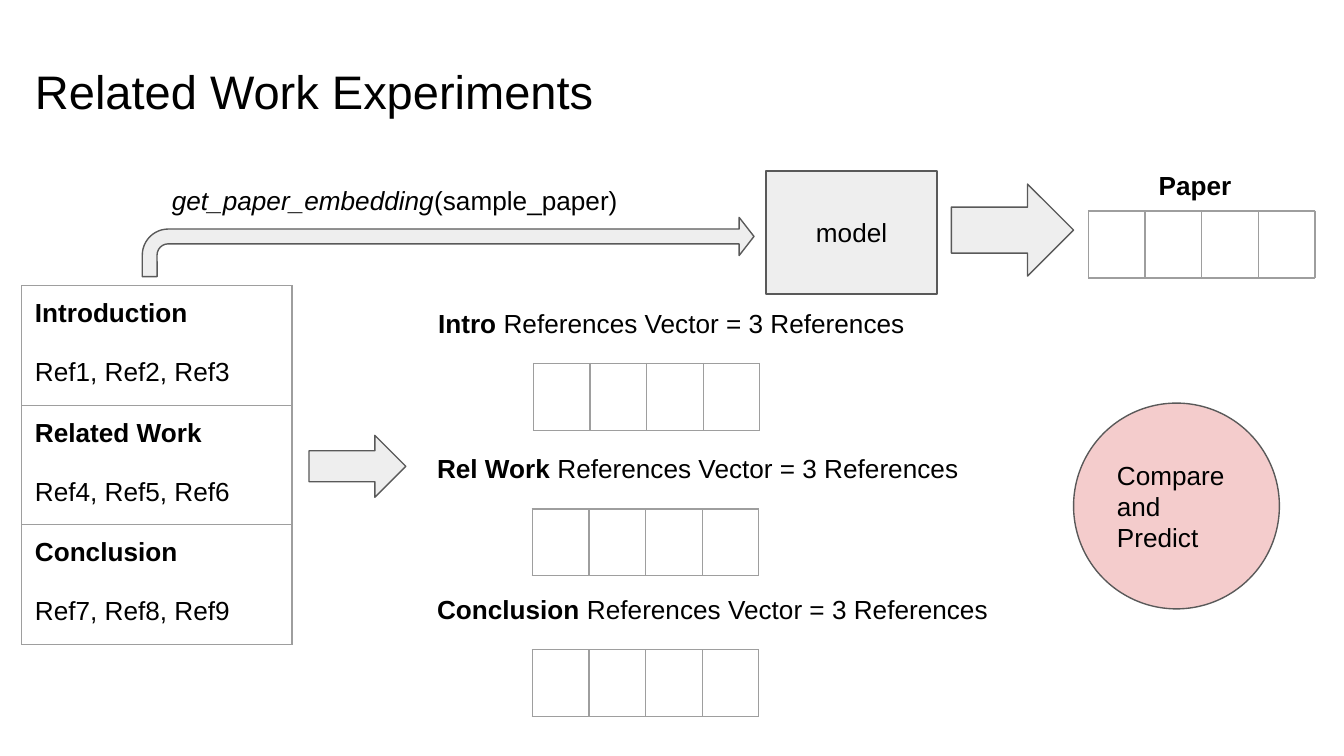
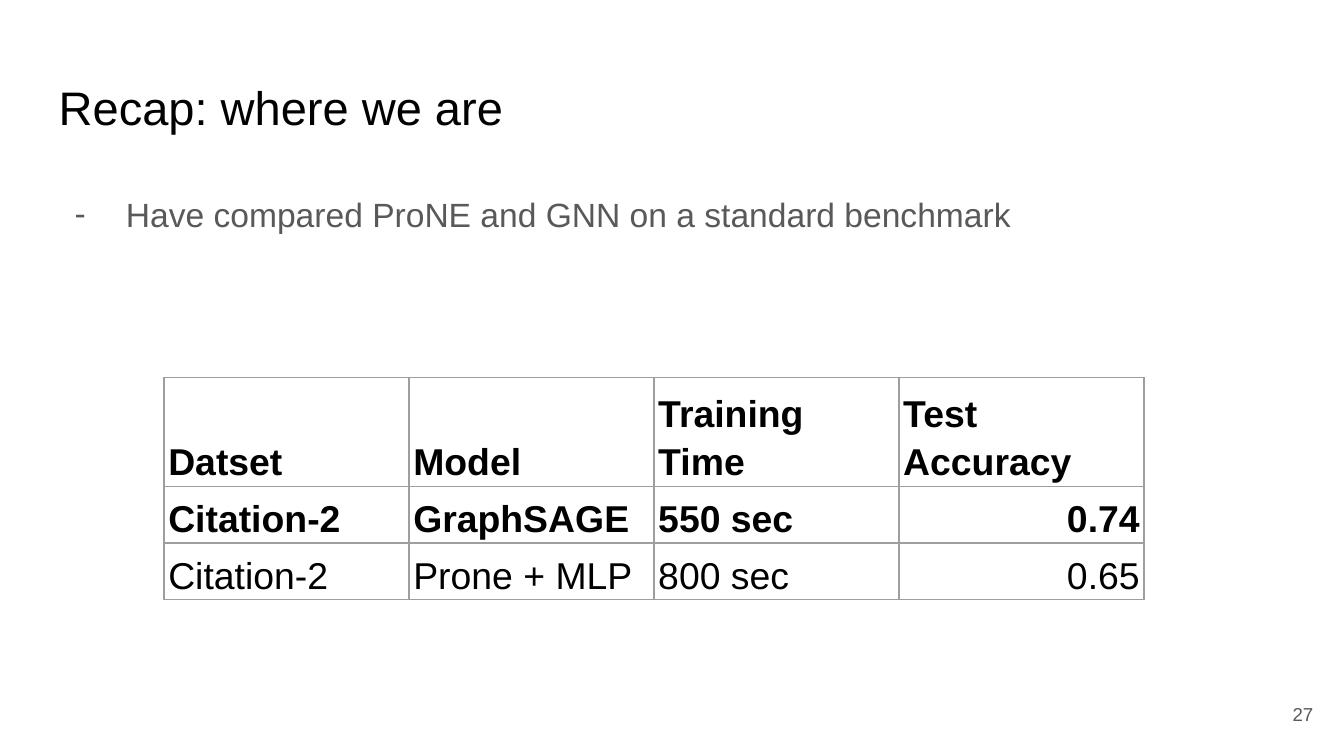
from dataclasses import dataclass

from lxml.etree import SubElement
from pptx import Presentation
from pptx.dml.color import RGBColor
from pptx.enum.shapes import MSO_SHAPE
from pptx.enum.text import MSO_ANCHOR, MSO_AUTO_SIZE, PP_ALIGN
from pptx.oxml import parse_xml
from pptx.oxml.ns import nsdecls, qn
from pptx.util import Cm, Pt


@dataclass(frozen=True)
class Theme:
    font: str = "Arial"
    ink: str = "000000"
    gray: str = "595959"
    pale: str = "EEEEEE"
    pink: str = "F4CCCC"
    grid: str = "9E9E9E"
    title: float = 25.2
    body: float = 18
    cell: float = 20
    label: float = 14
    note: float = 10
    rule: float = 0.75
    pad: float = 0.25


THEME = Theme()

# Content: a paragraph is a list of (text, style), style being "", "b" or "i"
FLOW_TITLE = "Related Work Experiments"
PARTS = [
    ("Introduction", "Ref1, Ref2, Ref3"),
    ("Related Work", "Ref4, Ref5, Ref6"),
    ("Conclusion", "Ref7, Ref8, Ref9"),
]
CALL = [("get_paper_embedding", "i"), ("(sample_paper)", "")]
VECTORS = [  # name, left, top
    ("Intro ", 8.03, 5.56),
    ("Rel Work ", 8.01, 8.31),
    ("Conclusion ", 8.01, 10.97),
]
COUNT = "References Vector = 3 References"
ARROWS = [  # kind, box, adjustments
    (MSO_SHAPE.RIGHT_ARROW, (5.84, 8.23, 1.83, 1.17), (0.5, 0.5)),
    (MSO_SHAPE.RIGHT_ARROW, (17.98, 3.48, 2.31, 1.74), (0.5, 0.5)),
    (MSO_SHAPE.BENT_ARROW, (2.69, 4.11, 11.56, 1.12), (0.25, 0.322, 0.25, 0.438)),
]

RECAP_TITLE = "Recap: where we are"
POINT = "Have compared ProNE and GNN on a standard benchmark"
RESULTS = [
    ("Datset", "Model", "Training Time", "Test Accuracy"),
    ("Citation-2", "GraphSAGE", "550 sec", "0.74"),
    ("Citation-2", "Prone + MLP", "800 sec", "0.65"),
]
PAGE = "27"


def rgb(code):
    return RGBColor.from_string(code)


def inset(item, x=THEME.pad, y=THEME.pad):
    item.margin_left = item.margin_right = Cm(x)
    item.margin_top = item.margin_bottom = Cm(y)


def write(frame, paras, size=THEME.label, color=THEME.ink,
          align=PP_ALIGN.LEFT, lead=None, gap=0):
    """Fill a frame with paragraphs; gap is the space between them in points."""
    for n, runs in enumerate(paras):
        para = frame.add_paragraph() if n else frame.paragraphs[0]
        para.alignment = align
        if lead:
            para.line_spacing = lead
        if n and gap:
            para.space_before = Pt(gap)
        for text, style in runs:
            run = para.add_run()
            run.text = text
            font = run.font
            font.name, font.size = THEME.font, Pt(size)
            font.bold, font.italic = style == "b", style == "i"
            font.color.rgb = rgb(color)


def put_text(slide, box, runs, anchor=MSO_ANCHOR.TOP, **style):
    frame = slide.shapes.add_textbox(*map(Cm, box)).text_frame
    frame.word_wrap = True
    frame.vertical_anchor = anchor
    inset(frame)
    write(frame, [runs], **style)
    return frame


def put_shape(slide, kind, box, fill=THEME.pale, text="", align=PP_ALIGN.LEFT, adj=()):
    shape = slide.shapes.add_shape(kind, *map(Cm, box))
    shape.shadow.inherit = False
    shape.fill.solid()
    shape.fill.fore_color.rgb = rgb(fill)
    shape.line.color.rgb = rgb(THEME.gray)
    shape.line.width = Pt(THEME.rule)
    for n, value in enumerate(adj):
        shape.adjustments[n] = value
    if text:
        frame = shape.text_frame
        frame.word_wrap = True
        frame.vertical_anchor = MSO_ANCHOR.MIDDLE
        inset(frame)
        write(frame, [[(text, "")]], align=align)


def edge(cell):
    """Draw a thin line on all four sides of a cell."""
    props = cell._tc.get_or_add_tcPr()
    for n, side in enumerate("LRTB"):
        props.insert(n, parse_xml(
            f'<a:ln{side} {nsdecls("a")} w="{Pt(THEME.rule)}"><a:solidFill>'
            f'<a:srgbClr val="{THEME.grid}"/></a:solidFill></a:ln{side}>'))


def put_table(slide, left, top, wide, heights, cols):
    size = [Cm(v) for v in (left, top, wide * cols, sum(heights))]
    table = slide.shapes.add_table(len(heights), cols, *size).table
    table.first_row = table.horz_banding = False
    for col in table.columns:
        col.width = Cm(wide)
    for row, high in zip(table.rows, heights):
        row.height = Cm(high)
        for cell in row.cells:
            cell.fill.background()
            edge(cell)
            inset(cell)
    return table


def put_vector(slide, left, top):
    put_table(slide, left, top, 1.07, [1.23], 4)


def add_slide(deck, title, left, top):
    slide = deck.slides.add_slide(deck.slide_layouts[5])
    head = slide.shapes.title
    head.left, head.top, head.width, head.height = map(Cm, (left, top, 23.67, 1.6))
    frame = head.text_frame
    frame.auto_size = MSO_AUTO_SIZE.NONE
    frame.vertical_anchor = MSO_ANCHOR.TOP
    inset(frame)
    write(frame, [[(title, "")]], THEME.title)
    return slide


def add_flow(deck):
    slide = add_slide(deck, FLOW_TITLE, 0.41, 0.94)
    paper = put_table(slide, 0.41, 5.4, 5.11, [2.26] * len(PARTS), 1)
    for n, (name, refs) in enumerate(PARTS):
        write(paper.cell(n, 0).text_frame, [[(name, "b")], [(refs, "")]], gap=16)
    for kind, box, adj in ARROWS:
        put_shape(slide, kind, box, adj=adj)
    put_shape(slide, MSO_SHAPE.FLOWCHART_PROCESS, (14.48, 3.23, 3.23, 2.33),
              text="model", align=PP_ALIGN.CENTER)
    put_text(slide, (3, 3.23, 10.26, 0.89), CALL)
    put_text(slide, (21.41, 2.95, 2.49, 1.12), [("Paper ", "b")], align=PP_ALIGN.CENTER)
    put_vector(slide, 20.57, 3.99)
    for name, left, top in VECTORS:
        put_text(slide, (left, top, 12.7, 1.6), [(name, "b"), (COUNT, "")])
        put_vector(slide, left + 2.05, top + 1.31)
    put_shape(slide, MSO_SHAPE.OVAL, (20.29, 7.62, 3.89, 3.89), THEME.pink,
              "Compare and Predict")


def add_dash(para):
    props = para._p.get_or_add_pPr()
    props.set("marL", str(Cm(1.27)))
    props.set("indent", str(-Cm(0.97)))
    tint = SubElement(props, qn("a:buClr"))
    SubElement(tint, qn("a:srgbClr")).set("val", THEME.gray)
    SubElement(props, qn("a:buFont")).set("typeface", THEME.font)
    SubElement(props, qn("a:buChar")).set("char", "-")


def add_recap(deck):
    slide = add_slide(deck, RECAP_TITLE, 0.86, 1.24)
    body = put_text(slide, (0.86, 3.3, 23.67, 3.84), [(POINT, "")],
                    size=THEME.body, color=THEME.gray, lead=1.15)
    add_dash(body.paragraphs[0])
    put_text(slide, (23.55, 12.95, 1.52, 1.09), [(PAGE, "")], MSO_ANCHOR.MIDDLE,
             size=THEME.note, color=THEME.gray, align=PP_ALIGN.RIGHT)
    table = put_table(slide, 3.1, 7.14, 4.63, [1.93, 1.01, 1.01], 4)
    for r, row in enumerate(RESULTS):
        for c, text in enumerate(row):
            cell = table.cell(r, c)
            cell.vertical_anchor = MSO_ANCHOR.BOTTOM
            inset(cell, 0.08, 0.05)
            right = r > 0 and c == len(row) - 1
            write(cell.text_frame, [[(text, "b" if r < 2 else "")]], THEME.cell,
                  align=PP_ALIGN.RIGHT if right else PP_ALIGN.LEFT, lead=1.15)


def main():
    deck = Presentation()
    deck.slide_width, deck.slide_height = Cm(25.4), Cm(14.29)
    add_flow(deck)
    add_recap(deck)
    deck.save("out.pptx")


if __name__ == "__main__":
    main()
